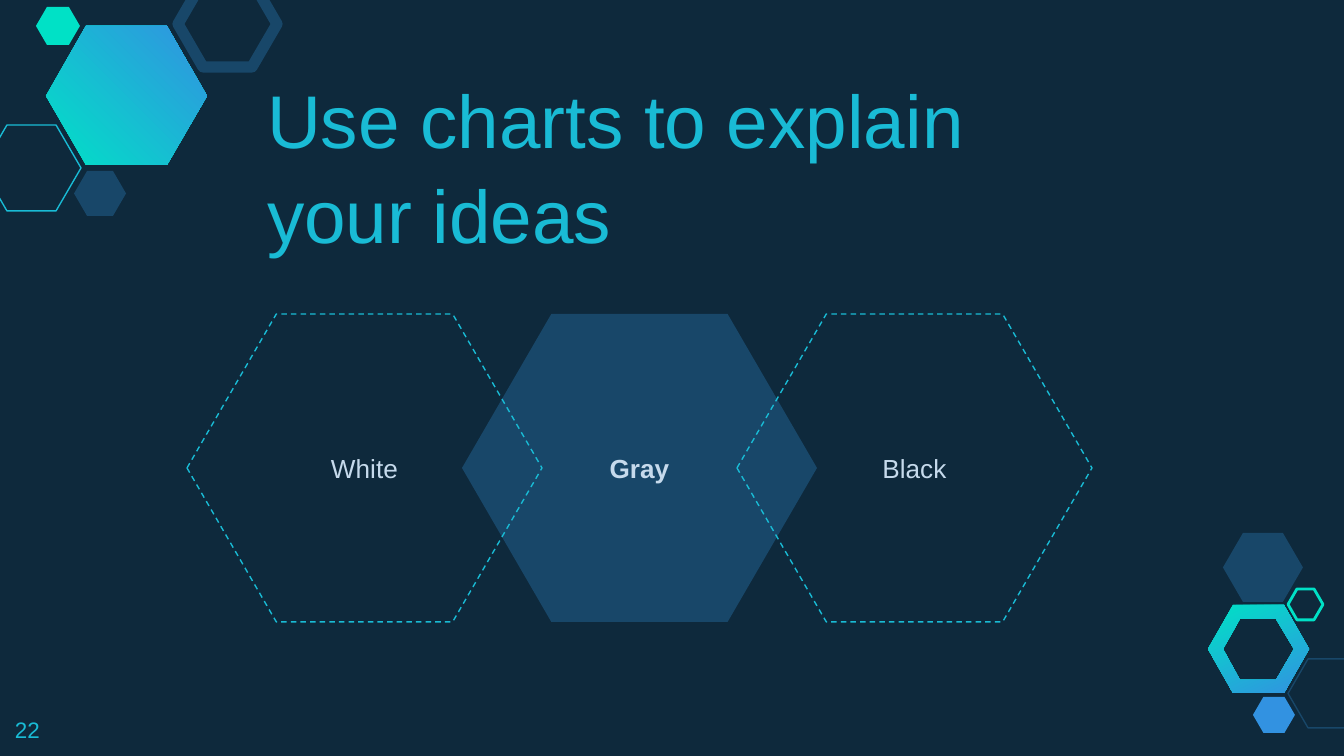
import pptx
import pptx.util
import pptx.dml.color
import pptx.enum.dml
import pptx.enum.shapes
import pptx.enum.text

PX = 914400 / 134.4
W, H = 1344, 756
FONT = "Arial"
INSET = 13
C = {"bg": "0E293C", "navy": "184769", "cyan": "19BBD5", "teal": "00E1C6",
     "blue": "3292E1", "text": "C6DAEC"}

# Rings of (x positions of the four corner columns, y of the three corner rows)
GRADIENT_HEXAGONS = [
    (296, [((1208, 1233, 1284, 1309), (605, 649, 693)),
           ((1223, 1240, 1276, 1294), (619, 649, 680))]),
    (45, [((46, 86, 167, 207), (26, 96, 165))]),
]
# left, top, width, height, fill, line colour, line width in points
DECOR = [
    (-18, 125, 99, 86, None, "cyan", 0.75),
    (74, 171, 52, 45, "navy", None, 0),
    (178, -19, 99, 86, None, "navy", 6),
    (36, 7, 44, 38, "teal", None, 0),
    (1288, 659, 79, 69, None, "navy", 0.75),
    (1253, 697, 42, 36, "blue", None, 0),
    (1223, 533, 80, 69, "navy", None, 0),
    (1288, 589, 35, 31, None, "teal", 1.5),
]
TITLE = "Use charts to explain your ideas"
NUMBER = "22"
# column, label, highlighted
IDEAS = [(1, "Gray", True), (0, "White", False), (2, "Black", False)]
IDEA_LEFT, IDEA_TOP, IDEA_W, IDEA_H, IDEA_STEP = 187, 314, 355, 308, 275


def px(*values):
    return [pptx.util.Emu(round(v * PX)) for v in values]


def rgb(name):
    return pptx.dml.color.RGBColor.from_string(C[name])


def paint(s, fill, line, width):
    s.shadow.inherit = False
    if fill:
        s.fill.solid()
        s.fill.fore_color.rgb = rgb(fill)
    else:
        s.fill.background()
    if line:
        s.line.color.rgb = rgb(line)
        s.line.width = pptx.util.Pt(width)
    else:
        s.line.fill.background()


def add_hexagon(shapes, box, adj, fill, line, width):
    s = shapes.add_shape(pptx.enum.shapes.MSO_SHAPE.HEXAGON, *px(*box))
    s.adjustments[0] = adj
    paint(s, fill, line, width)
    return s


def add_gradient_hexagon(shapes, angle, rings):
    builder = None
    for i, ((x0, x1, x2, x3), (y0, y1, y2)) in enumerate(rings):
        points = [(x0, y1), (x1, y0), (x2, y0), (x3, y1), (x2, y2), (x1, y2)]
        if i % 2:  # a hole runs the other way round
            points.reverse()
        if builder is None:
            builder = shapes.build_freeform(*points[0], scale=PX)
        else:
            builder.move_to(*points[0])
        builder.add_line_segments(points[1:], close=True)
    s = builder.convert_to_shape()
    paint(s, None, None, 0)
    s.fill.gradient()
    s.fill.gradient_angle = angle
    for stop, name in zip(s.fill.gradient_stops, ("teal", "blue")):
        stop.color.rgb = rgb(name)


def write(s, text, size, color, anchor, align, bold=False):
    tf = s.text_frame
    tf.word_wrap = True
    tf.vertical_anchor = anchor
    tf.margin_left = tf.margin_top = tf.margin_right = tf.margin_bottom = px(INSET)[0]
    tf.text = text
    p = tf.paragraphs[0]
    p.alignment = align
    font = p.runs[0].font
    font.name, font.size, font.bold = FONT, pptx.util.Pt(size), bold
    font.color.rgb = rgb(color)
    return p


def main():
    prs = pptx.Presentation()
    prs.slide_width, prs.slide_height = px(W, H)
    slide = prs.slides.add_slide(prs.slide_layouts[6])
    slide.background.fill.solid()
    slide.background.fill.fore_color.rgb = rgb("bg")
    shapes = slide.shapes
    anchor, align = pptx.enum.text.MSO_ANCHOR, pptx.enum.text.PP_ALIGN

    for angle, rings in GRADIENT_HEXAGONS:
        add_gradient_hexagon(shapes, angle, rings)
    for *box, fill, line, width in DECOR:
        add_hexagon(shapes, box, 0.29, fill, line, width)

    for column, label, highlighted in IDEAS:
        box = (IDEA_LEFT + column * IDEA_STEP, IDEA_TOP, IDEA_W, IDEA_H)
        if highlighted:
            s = add_hexagon(shapes, box, 0.29, "navy", None, 0)
        else:
            s = add_hexagon(shapes, box, 0.29, None, "cyan", 0.75)
            s.line.dash_style = pptx.enum.dml.MSO_LINE.DASH
        write(s, label, 14, "text", anchor.MIDDLE, align.CENTER, highlighted)

    title = shapes.add_textbox(*px(254, 176, 727, 95))
    p = write(title, TITLE, 40, "cyan", anchor.BOTTOM, align.LEFT)
    p.line_spacing = 1.05
    number = shapes.add_textbox(*px(2, 703, 80, 53))
    write(number, NUMBER, 12, "cyan", anchor.TOP, align.LEFT)

    prs.save("out.pptx")


if __name__ == "__main__":
    main()
